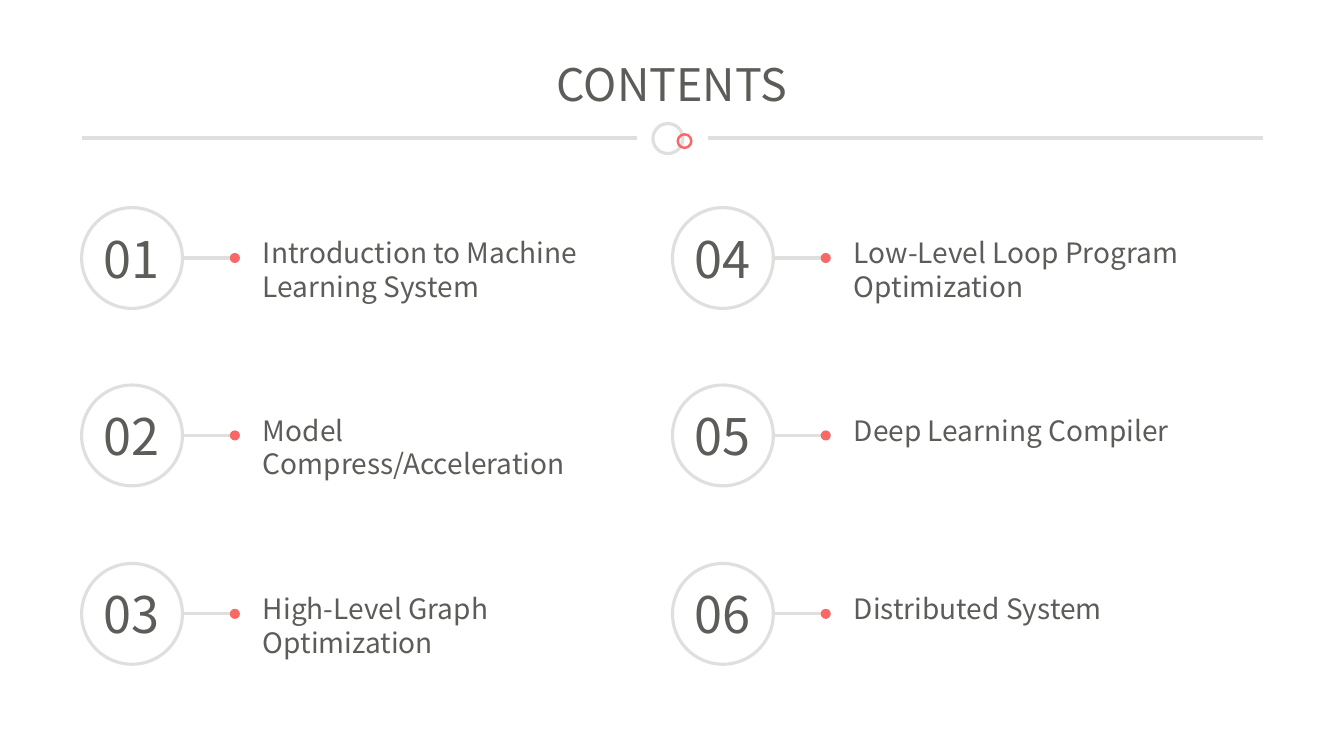
from pptx import Presentation
from pptx.dml.color import RGBColor
from pptx.enum.shapes import MSO_CONNECTOR as CONNECTOR, MSO_SHAPE as SHAPE
from pptx.enum.text import MSO_AUTO_SIZE as AUTO_SIZE, PP_ALIGN as ALIGN
from pptx.oxml.ns import qn
from pptx.util import Inches, Pt
from lxml.etree import SubElement

COLORS = {"text": "5C5D59", "grey": "DFDFDD", "red": "F96767"}
FONT = "Noto Sans CJK SC"

COLUMN_LEFTS = (0.81, 6.67)
ROW_TOPS = (2.06, 3.82, 5.59)
CHAPTERS = (
    ("Introduction to Machine Learning System", 0.77),
    ("Model Compress/Acceleration", 0.77),
    ("High-Level Graph Optimization", 1.11),
    ("Low-Level Loop Program Optimization", 0.77),
    ("Deep Learning Compiler", 0.44),
    ("Distributed System", 0.44),
)


class Deck:
    def __init__(self):
        self.prs = Presentation()
        self.prs.slide_width = Inches(13.33)
        self.prs.slide_height = Inches(7.5)
        self.s = self.prs.slides.add_slide(self.prs.slide_layouts[6])

    def color(self, name):
        return RGBColor.from_string(COLORS[name])

    def text(self, text, left, top, width, height, size, align=ALIGN.LEFT):
        box = self.s.shapes.add_textbox(
            Inches(left), Inches(top), Inches(width), Inches(height))
        tf = box.text_frame
        tf.word_wrap = True
        tf.auto_size = AUTO_SIZE.SHAPE_TO_FIT_TEXT
        tf.text = text
        p = tf.paragraphs[0]
        p.alignment = align
        font = p.runs[0].font
        font.name = FONT
        font.size = Pt(size)
        font.color.rgb = self.color("text")

    def round_shape(self, kind, left, top, size, fill=None, line=None):
        sp = self.s.shapes.add_shape(
            kind, Inches(left), Inches(top), Inches(size), Inches(size))
        sp.shadow.inherit = False
        if fill:
            sp.fill.solid()
            sp.fill.fore_color.rgb = self.color(fill)
        else:
            sp.fill.background()
        if line:
            sp.line.color.rgb = self.color(line)
            sp.line.width = Pt(2.25)
        else:
            sp.line.fill.background()
        return sp

    def ring(self, left, top, size, thickness, fill):
        sp = self.round_shape(SHAPE.DONUT, left, top, size, fill)
        sp.adjustments[0] = thickness

    def rule(self, left, right, y, width, oval_end=False):
        """Draw a grey horizontal line."""
        line = self.s.shapes.add_connector(
            CONNECTOR.STRAIGHT, Inches(left), Inches(y), Inches(right), Inches(y))
        line.line.color.rgb = self.color("grey")
        line.line.width = Pt(width)
        if oval_end:
            SubElement(line.line._get_or_add_ln(), qn("a:tailEnd"), type="oval")
        SubElement(line._element.spPr, qn("a:effectLst"))

    def chapter(self, number, title, left, top, title_height):
        self.round_shape(SHAPE.OVAL, left, top, 1, line="grey")
        self.rule(left + 1, left + 1.52, top + 0.5, 2.25, oval_end=True)
        self.text(f"{number:02}", left + 0.11, top + 0.15, 0.77, 0.71, 36, ALIGN.CENTER)
        self.round_shape(SHAPE.OVAL, left + 1.47, top + 0.45, 0.1, fill="red")
        self.text(title, left + 1.7, top + 0.23, 3.46, title_height, 20)


def main():
    deck = Deck()
    deck.text("CONTENTS", 4.13, 0.51, 5.07, 0.64, 32, ALIGN.CENTER)
    deck.ring(6.46, 1.21, 0.33, 0.097, "grey")
    deck.ring(6.71, 1.32, 0.16, 0.157, "red")
    for left in (0.81, 7.02):
        deck.rule(left, left + 5.51, 1.37, 2.5)

    for i, (title, title_height) in enumerate(CHAPTERS):
        column, row = divmod(i, len(ROW_TOPS))
        deck.chapter(i + 1, title, COLUMN_LEFTS[column], ROW_TOPS[row], title_height)

    deck.prs.save("out.pptx")


if __name__ == "__main__":
    main()
